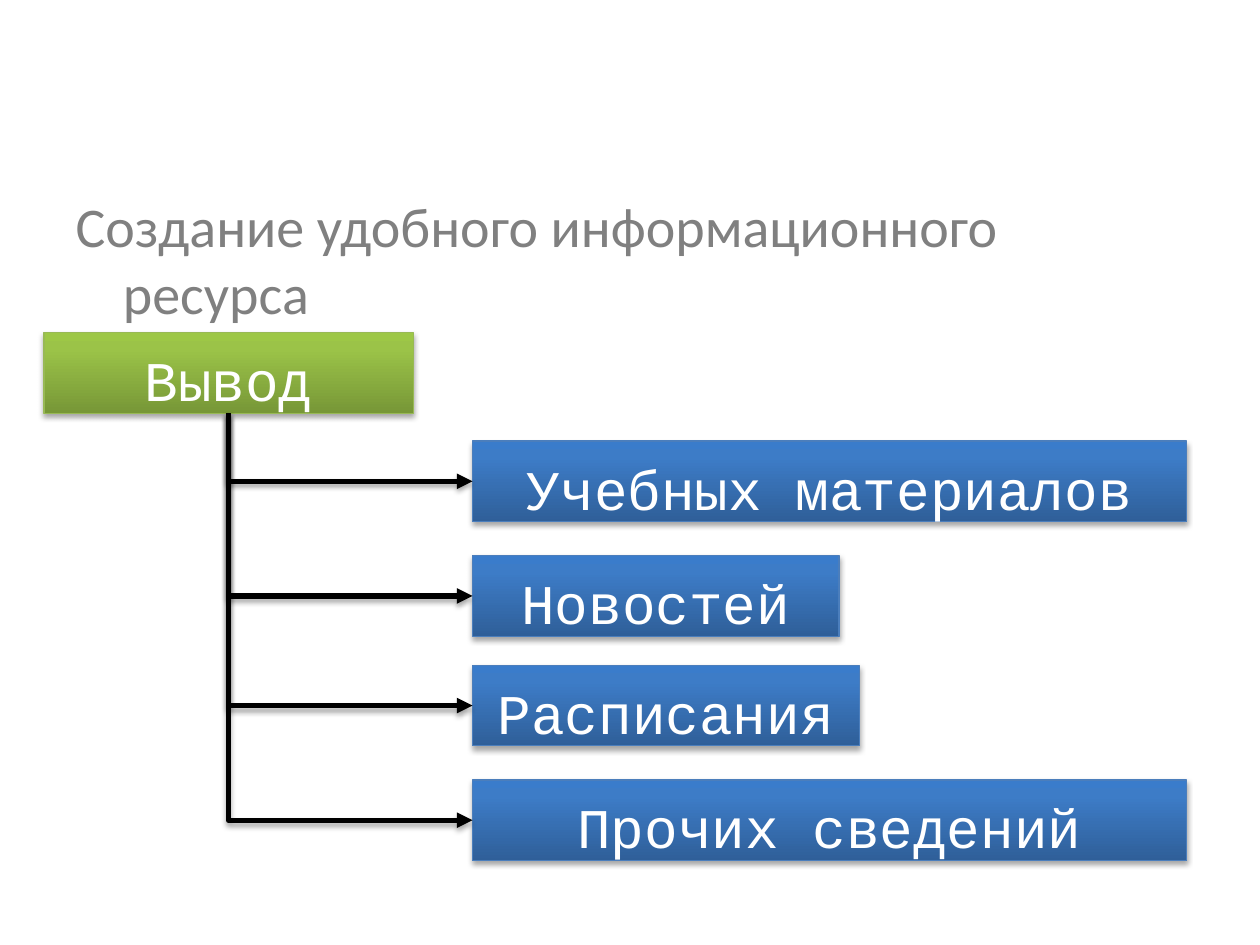
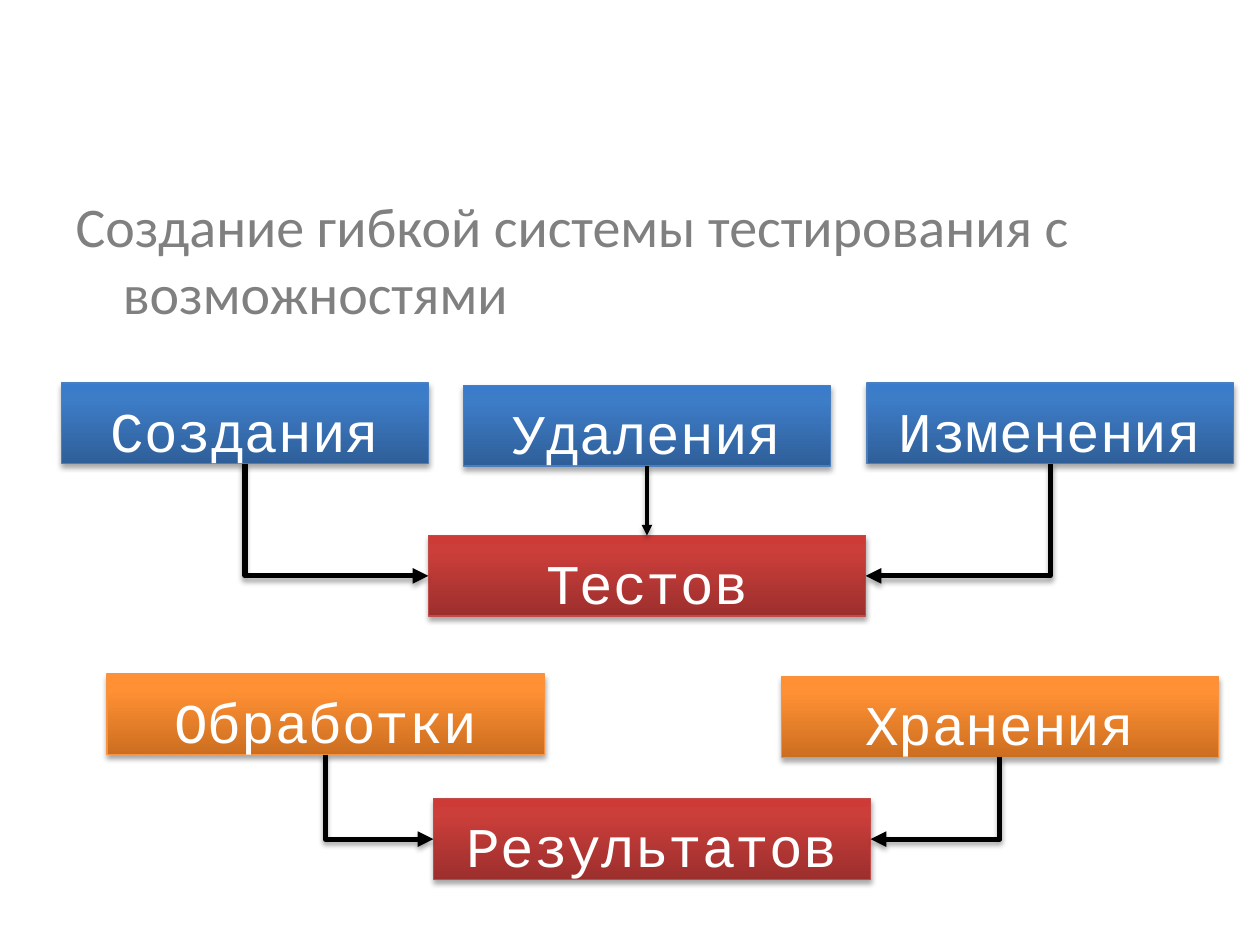
import dataclasses

import lxml.etree
import pptx
import pptx.dml.color
import pptx.enum.shapes
import pptx.enum.text
import pptx.oxml.ns
import pptx.util

qn = pptx.oxml.ns.qn
RGB = pptx.dml.color.RGBColor.from_string

WIDTH, HEIGHT = pptx.util.Inches(10), pptx.util.Inches(7.5)
COLUMN, ROW = WIDTH // 100, HEIGHT // 75
BOX_ROWS = 6.4
TEXT_SIZE = pptx.util.Pt(32)
BOTTOM, LEFT, TOP, RIGHT = 2, 1, 0, 3

COLORS = {"title": "808080", "text": "FFFFFF", "arrow": "000000", "shadow": "000000"}
GRADIENTS = {
    "blue": ("2F5F99", "3D7CC7", "3A7CCB"),
    "green": ("779737", "9BC348", "9DC746"),
    "orange": ("CC6E20", "FF9034", "FF9136"),
    "red": ("9C2F2D", "CB3E3A", "CE3B37"),
}
BORDERS = {"blue": "4B7EBC", "green": "98B955", "orange": "F69240", "red": "BF4C48"}


@dataclasses.dataclass(frozen=True)
class Box:
    text: str
    color: str
    column: float
    row: float
    columns: float


@dataclasses.dataclass(frozen=True)
class Arrow:
    source: str
    target: str
    side: int
    weight: float = 3


@dataclasses.dataclass(frozen=True)
class Diagram:
    title: str
    title_rows: float
    boxes: tuple[Box, ...]
    arrows: tuple[Arrow, ...]


OUTPUTS = (
    Box("Учебных материалов", "blue", 37.5, 35, 56.7),
    Box("Новостей", "blue", 37.5, 44.1, 29.1),
    Box("Расписания", "blue", 37.5, 52.8, 30.7),
    Box("Прочих сведений", "blue", 37.5, 61.9, 56.7),
)

DIAGRAMS = (
    Diagram(
        "Создание удобного информационного ресурса",
        11,
        (Box("Вывод", "green", 3.5, 26.4, 29.3), *OUTPUTS),
        tuple(Arrow("Вывод", box.text, LEFT) for box in OUTPUTS),
    ),
    Diagram(
        "Создание гибкой системы тестирования с возможностями",
        52.3,
        (
            Box("Создания", "blue", 4.9, 30.4, 29.1),
            Box("Удаления", "blue", 36.8, 30.6, 29.1),
            Box("Изменения", "blue", 68.8, 30.4, 29.1),
            Box("Тестов", "red", 34, 42.5, 34.7),
            Box("Обработки", "orange", 8.5, 53.5, 34.7),
            Box("Хранения", "orange", 62, 53.7, 34.7),
            Box("Результатов", "red", 34.4, 63.4, 34.7),
        ),
        (
            Arrow("Создания", "Тестов", LEFT),
            Arrow("Удаления", "Тестов", TOP, 2),
            Arrow("Изменения", "Тестов", RIGHT),
            Arrow("Обработки", "Результатов", LEFT),
            Arrow("Хранения", "Результатов", RIGHT),
        ),
    ),
)


def cols(n: float) -> int:
    return round(n * COLUMN)


def rows(n: float) -> int:
    return round(n * ROW)


def format_runs(p, font: str, color: str) -> None:
    for r in p.runs:
        r.font.name = font
        r.font.size = TEXT_SIZE
        r.font.color.rgb = RGB(COLORS[color])


def add_shadow(effects) -> None:
    outer = lxml.etree.SubElement(
        effects, qn("a:outerShdw"), blurRad=str(pptx.util.Pt(3.1)),
        dist=str(pptx.util.Pt(1.8)), dir="5400000", rotWithShape="0",
    )
    color = lxml.etree.SubElement(outer, qn("a:srgbClr"), val=COLORS["shadow"])
    lxml.etree.SubElement(color, qn("a:alpha"), val="35000")


def fill_gradient(sp, colors: tuple[str, str, str]) -> None:
    sp.fill.gradient()
    sp.fill.gradient_angle = 90
    stops = sp._element.spPr.find(".//" + qn("a:gsLst"))
    for gs in list(stops):
        stops.remove(gs)
    for position, color in zip((0, 80, 100), colors):
        gs = lxml.etree.SubElement(stops, qn("a:gs"), pos=str(position * 1000))
        lxml.etree.SubElement(gs, qn("a:srgbClr"), val=color)


def set_title(s, diagram: Diagram) -> None:
    sp = s.shapes.title
    sp.left, sp.top = cols(5), rows(14.7)
    sp.width, sp.height = cols(90), rows(diagram.title_rows)
    tf = sp.text_frame
    tf.text = diagram.title
    tf.word_wrap = True
    tf.auto_size = pptx.enum.text.MSO_AUTO_SIZE.NONE
    tf.vertical_anchor = pptx.enum.text.MSO_ANCHOR.TOP
    p = tf.paragraphs[0]
    p.alignment = pptx.enum.text.PP_ALIGN.LEFT
    indent = cols(3.75)
    p_pr = p._p.get_or_add_pPr()
    p_pr.set("marL", str(indent))
    p_pr.set("indent", str(-indent))
    format_runs(p, "Calibri", "title")


def add_box(s, box: Box):
    sp = s.shapes.add_shape(
        pptx.enum.shapes.MSO_SHAPE.RECTANGLE,
        cols(box.column), rows(box.row), cols(box.columns), rows(BOX_ROWS),
    )
    fill_gradient(sp, GRADIENTS[box.color])
    sp.line.color.rgb = RGB(BORDERS[box.color])
    sp.line.width = pptx.util.Pt(0.75)
    sp.shadow.inherit = False
    add_shadow(sp._element.spPr.find(qn("a:effectLst")))
    tf = sp.text_frame
    tf.text = box.text
    tf.word_wrap = True
    tf.margin_top, tf.margin_bottom = rows(1), 0
    tf.vertical_anchor = pptx.enum.text.MSO_ANCHOR.MIDDLE
    p = tf.paragraphs[0]
    p.alignment = pptx.enum.text.PP_ALIGN.CENTER
    format_runs(p, "Courier New", "text")
    return sp


def bend(connector, source, target, side: int) -> None:
    x1, y1 = source.left + source.width // 2, source.top + source.height
    x2 = target.left if side == LEFT else target.left + target.width
    y2 = target.top + target.height // 2
    dx, dy = abs(x2 - x1), y2 - y1
    connector.left, connector.top = (x1 + x2 - dy) // 2, (y1 + y2 - dx) // 2
    connector.width, connector.height = dy, dx
    sp_pr = connector._element.spPr
    sp_pr.find(qn("a:prstGeom")).set("prst", "bentConnector2")
    xfrm = sp_pr.find(qn("a:xfrm"))
    xfrm.set("rot", "16200000" if side == LEFT else "5400000")
    xfrm.set("flipH", "1" if side == LEFT else "0")
    xfrm.set("flipV", "0")


def add_arrow(s, arrow: Arrow, source, target) -> None:
    kinds = pptx.enum.shapes.MSO_CONNECTOR
    kind = kinds.STRAIGHT if arrow.side == TOP else kinds.ELBOW
    connector = s.shapes.add_connector(kind, 0, 0, 0, 0)
    connector.begin_connect(source, BOTTOM)
    connector.end_connect(target, arrow.side)
    if arrow.side != TOP:
        bend(connector, source, target, arrow.side)
    connector.line.color.rgb = RGB(COLORS["arrow"])
    connector.line.width = pptx.util.Pt(arrow.weight)
    sp_pr = connector._element.spPr
    lxml.etree.SubElement(sp_pr.find(qn("a:ln")), qn("a:tailEnd"), type="triangle")
    add_shadow(lxml.etree.SubElement(sp_pr, qn("a:effectLst")))


def add_diagram(prs, diagram: Diagram) -> None:
    s = prs.slides.add_slide(prs.slide_layouts.get_by_name("Title Only"))
    set_title(s, diagram)
    shapes = {box.text: add_box(s, box) for box in diagram.boxes}
    for arrow in diagram.arrows:
        add_arrow(s, arrow, shapes[arrow.source], shapes[arrow.target])


def main() -> None:
    prs = pptx.Presentation()
    prs.slide_width, prs.slide_height = WIDTH, HEIGHT
    for diagram in DIAGRAMS:
        add_diagram(prs, diagram)
    prs.save("out.pptx")


if __name__ == "__main__":
    main()
